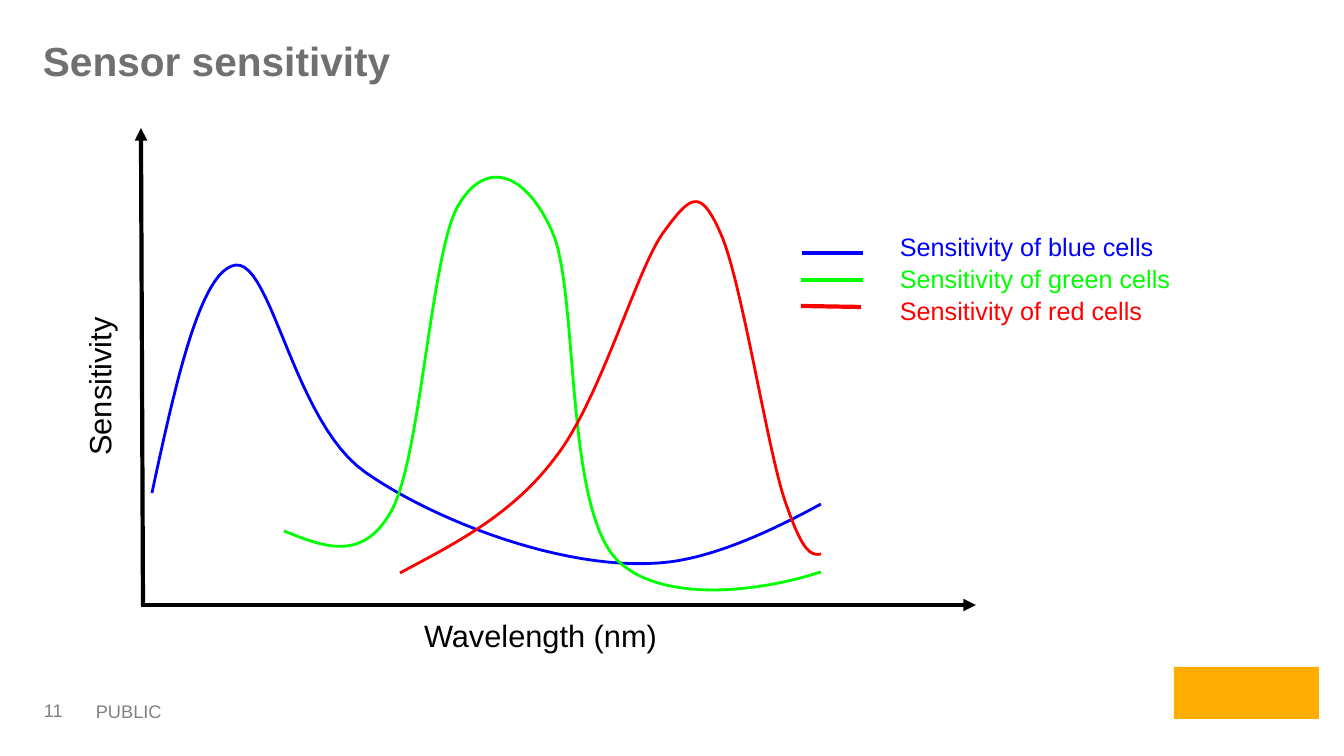
"""Build the sensor sensitivity slide: three colour response curves over wavelength."""
import pptx
import pptx.dml.color
import pptx.enum.shapes
import pptx.enum.text
import pptx.oxml
import pptx.oxml.ns
import pptx.util

PX = 914400 / 100.8
STEPS = 24
BLUE, GREEN, RED, BLACK, GREY = "0000FF", "00FF00", "FF0000", "000000", "808080"
LEFT, CENTER = pptx.enum.text.PP_ALIGN.LEFT, pptx.enum.text.PP_ALIGN.CENTER
TOP, MIDDLE = pptx.enum.text.MSO_ANCHOR.TOP, pptx.enum.text.MSO_ANCHOR.MIDDLE


def emu(*lengths):
    return [pptx.util.Emu(round(length * PX)) for length in lengths]


def rgb(value):
    return pptx.dml.color.RGBColor.from_string(value)


deck = pptx.Presentation()
deck.slide_width, deck.slide_height = emu(1344, 756)
slide = deck.slides.add_slide(deck.slide_layouts[6])
shapes = slide.shapes

logo_place = shapes.add_shape(pptx.enum.shapes.MSO_SHAPE.RECTANGLE, *emu(1174, 667, 145, 52))
logo_place.shadow.inherit = False
logo_place.fill.solid()
logo_place.fill.fore_color.rgb = rgb("FFAD00")
logo_place.line.fill.background()

strokes = [
    ((143, 605, 141, 128), BLACK, True),
    ((141, 605, 976, 605), BLACK, True),
    ((802, 253, 863, 253), BLUE, False),
    ((801, 280, 863, 280), GREEN, False),
    ((801, 306, 861, 307), RED, False),
]
for ends, color, is_axis in strokes:
    stroke = shapes.add_connector(pptx.enum.shapes.MSO_CONNECTOR.STRAIGHT, *emu(*ends))
    stroke.line.color.rgb = rgb(color)
    stroke.line.width = pptx.util.Pt(3)
    if is_axis:
        arrowhead = pptx.oxml.parse_xml(f'<a:tailEnd {pptx.oxml.ns.nsdecls("a")} type="triangle"/>')
        stroke.line._get_or_add_ln().append(arrowhead)
    stroke._element.spPr.append(pptx.oxml.parse_xml(f'<a:effectLst {pptx.oxml.ns.nsdecls("a")}/>'))

curves = [
    (BLUE, (152, 493), [
        (176, 381, 201, 269, 236, 265), (272, 262, 294, 422, 365, 472),
        (435, 521, 563, 570, 658, 563), (708, 560, 768, 533, 821, 504)]),
    (GREEN, (284, 531), [
        (324, 547, 363, 563, 392, 510), (421, 456, 431, 253, 458, 206),
        (485, 159, 525, 171, 552, 231), (579, 289, 564, 506, 617, 560),
        (659, 602, 753, 594, 821, 572)]),
    (RED, (400, 573), [
        (456, 543, 512, 515, 555, 458), (600, 401, 636, 271, 663, 233),
        (690, 196, 700, 187, 720, 232), (741, 276, 767, 448, 785, 501),
        (800, 544, 808, 557, 821, 554)]),
]
for color, start, segments in curves:
    points = []
    anchor = start
    for x1, y1, x2, y2, x3, y3 in segments:
        for step in range(1, STEPS + 1):
            t = step / STEPS
            weights = ((1 - t) ** 3, 3 * t * (1 - t) ** 2, 3 * t * t * (1 - t), t ** 3)
            points.append(emu(
                sum(w * x for w, x in zip(weights, (anchor[0], x1, x2, x3))),
                sum(w * y for w, y in zip(weights, (anchor[1], y1, y2, y3)))))
        anchor = (x3, y3)
    outline = shapes.build_freeform(*emu(*start))
    outline.add_line_segments(points, close=False)
    curve = outline.convert_to_shape()
    curve.shadow.inherit = False
    curve.fill.background()
    curve.line.color.rgb = rgb(color)
    curve.line.width = pptx.util.Pt(2)

legend = [("Sensitivity of blue cells", BLUE), ("Sensitivity of green cells", GREEN),
          ("Sensitivity of red cells", RED)]
labels = [
    ((33, 31, 1285, 73), [("Sensor sensitivity", "707070")], 29, True, LEFT, TOP, 1, False),
    ((890, 225, 294, 111), legend, 18, False, LEFT, TOP, 1.05, False),
    ((65, 299, 68, 175), [("Sensitivity", BLACK)], 22, False, CENTER, MIDDLE, 1, True),
    ((400, 617, 281, 37), [("Wavelength (nm)", BLACK)], 22, False, CENTER, MIDDLE, 1, False),
    ((37, 695, 66, 30), [("11", GREY)], 13, False, LEFT, MIDDLE, 1, False),
    ((86, 695, 401, 34), [("PUBLIC", GREY)], 13, False, LEFT, TOP, 1, False),
]
for place, lines, size, bold, align, anchor, spacing, upright in labels:
    frame = shapes.add_textbox(*emu(*place)).text_frame
    frame.word_wrap = True
    frame.vertical_anchor = anchor
    if upright:
        frame._txBody.bodyPr.set("vert", "vert270")
    if lines[0][0] == "11":
        frame.margin_left, frame.margin_right = emu(7, 7)
    for index, (words, color) in enumerate(lines):
        paragraph = frame.add_paragraph() if index else frame.paragraphs[0]
        paragraph.alignment = align
        paragraph.line_spacing = spacing
        run = paragraph.add_run()
        run.text = words
        run.font.name = "Arial"
        run.font.size = pptx.util.Pt(size)
        run.font.bold = bold
        run.font.color.rgb = rgb(color)

deck.save("out.pptx")
